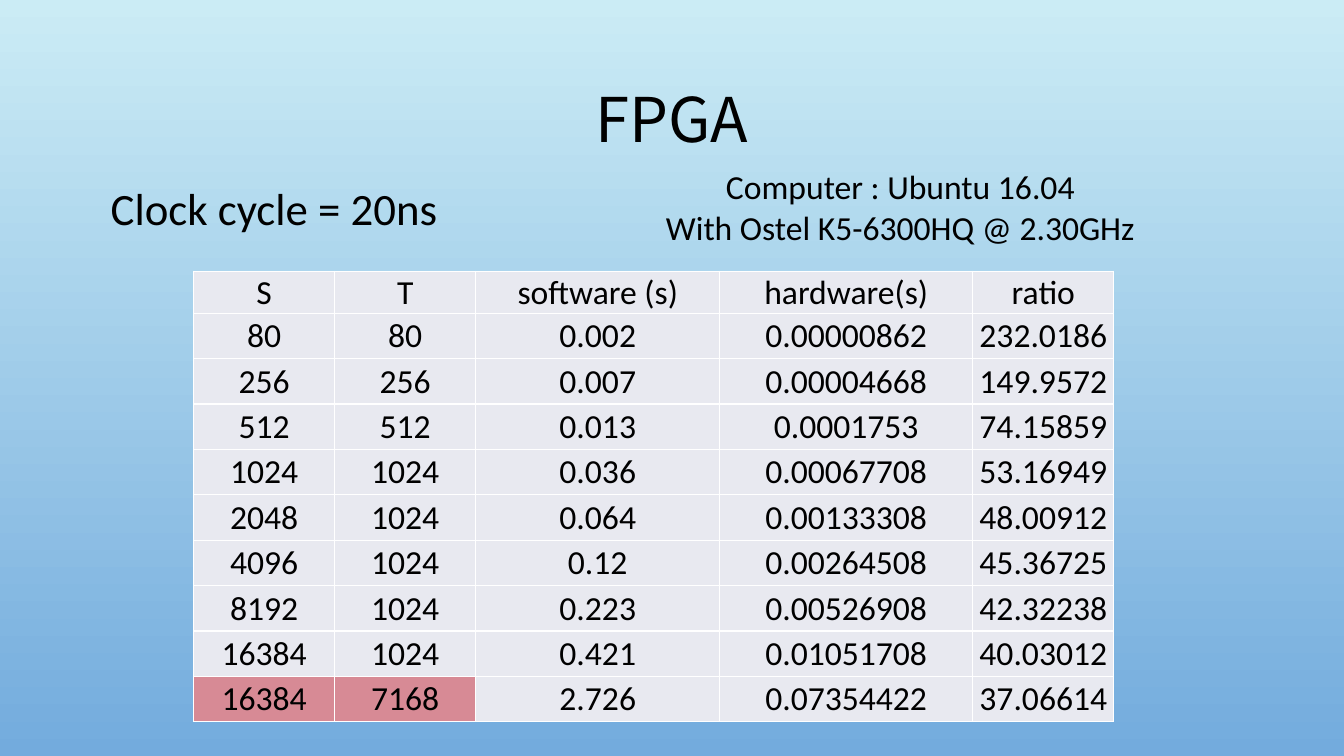
from dataclasses import dataclass
from lxml.etree import SubElement
from pptx import Presentation
from pptx.dml.color import RGBColor
from pptx.enum.text import MSO_ANCHOR, PP_ALIGN
from pptx.oxml.ns import qn
from pptx.util import Inches, Pt

WIDE, HIGH = Inches(13.33), Inches(7.5)
FONT = "Calibri"
BLACK, WHITE = "000000", "FFFFFF"
PALE, ROSE = "E8E9F0", "D78A95"
SKY = ("CBECF5", "73ABDD")


@dataclass
class Label:
    lines: list[str]
    box: tuple[float, float, float, float]  # percent of the slide
    size: int
    font: str = FONT
    align: PP_ALIGN = PP_ALIGN.CENTER
    anchor: MSO_ANCHOR = MSO_ANCHOR.TOP
    wrap: bool = False
    gap: float = 1.0


LABELS = [
    Label(["FPGA"], (7.5, 9.07, 85, 14.27), 44, "Noto Sans CJK SC",
          anchor=MSO_ANCHOR.MIDDLE, wrap=True, gap=0.9),
    Label(["Clock cycle = 20ns"], (7.5, 23.2, 26.78, 8.53), 32,
          align=PP_ALIGN.LEFT),
    Label(["Computer : Ubuntu 16.04", "With Ostel K5-6300HQ @ 2.30GHz"],
          (48.46, 21.33, 37.06, 12.13), 24),
]

# Timings: sizes S and T, seconds in software and hardware, ratio
ROWS = [
    ("S", "T", "software (s)", "hardware(s)", "ratio"),
    ("80", "80", "0.002", "0.00000862", "232.0186"),
    ("256", "256", "0.007", "0.00004668", "149.9572"),
    ("512", "512", "0.013", "0.0001753", "74.15859"),
    ("1024", "1024", "0.036", "0.00067708", "53.16949"),
    ("2048", "1024", "0.064", "0.00133308", "48.00912"),
    ("4096", "1024", "0.12", "0.00264508", "45.36725"),
    ("8192", "1024", "0.223", "0.00526908", "42.32238"),
    ("16384", "1024", "0.421", "0.01051708", "40.03012"),
    ("16384", "7168", "2.726", "0.07354422", "37.06614"),
]
COLS = (10.5, 10.5, 18.15, 18.83, 10.5)  # percent of slide width
HEAD, BODY = 3.33, 6.01  # percent of slide height
LEFT, TOP = 14.4, 35.87


def across(share: float) -> int:
    return round(WIDE * share / 100)


def down(share: float) -> int:
    return round(HIGH * share / 100)


def color(code: str) -> RGBColor:
    return RGBColor.from_string(code)


def style(para, size: int, font: str, align: PP_ALIGN) -> None:
    para.alignment = align
    para.font.size = Pt(size)
    para.font.name = font
    para.font.color.rgb = color(BLACK)


def add_label(slide, label: Label) -> None:
    x, y, w, h = label.box
    frame = slide.shapes.add_textbox(
        across(x), down(y), across(w), down(h)).text_frame
    frame.word_wrap = label.wrap
    frame.vertical_anchor = label.anchor
    frame.text = "\n".join(label.lines)
    for para in frame.paragraphs:
        style(para, label.size, label.font, label.align)
        para.line_spacing = label.gap


def add_edges(cell) -> None:
    props = cell._tc.get_or_add_tcPr()
    for side in ("lnL", "lnR", "lnT", "lnB"):
        line = SubElement(props, qn(f"a:{side}"), w=str(Pt(1)))
        fill = SubElement(line, qn("a:solidFill"))
        SubElement(fill, qn("a:srgbClr"), val=WHITE)


def fill_cell(cell, text: str, tint: str) -> None:
    cell.text = text
    cell.vertical_anchor = MSO_ANCHOR.MIDDLE
    cell.margin_left = cell.margin_right = cell.margin_top = Inches(0.01)
    cell.margin_bottom = 0
    style(cell.text_frame.paragraphs[0], 24, FONT, PP_ALIGN.CENTER)
    add_edges(cell)
    cell.fill.solid()
    cell.fill.fore_color.rgb = color(tint)


def add_times(slide) -> None:
    tall = HEAD + BODY * (len(ROWS) - 1)
    table = slide.shapes.add_table(
        len(ROWS), len(COLS), across(LEFT), down(TOP),
        across(sum(COLS)), down(tall)).table
    table.first_row = table.horz_banding = False
    for col, share in zip(table.columns, COLS):
        col.width = across(share)
    for r, texts in enumerate(ROWS):
        table.rows[r].height = down(BODY if r else HEAD)
        for c, text in enumerate(texts):
            # The largest S and T stand out
            big = r == len(ROWS) - 1 and c < 2
            fill_cell(table.cell(r, c), text, ROSE if big else PALE)


def main() -> None:
    deck = Presentation()
    deck.slide_width, deck.slide_height = WIDE, HIGH
    slide = deck.slides.add_slide(deck.slide_layouts[6])

    # Sky background, light at the top
    back = slide.background.fill
    back.gradient()
    back.gradient_angle = 270
    for stop, tint in zip(back.gradient_stops, SKY):
        stop.color.rgb = color(tint)

    # Table, then title and notes on the setup
    add_times(slide)
    for label in LABELS:
        add_label(slide, label)
    deck.save("out.pptx")


if __name__ == "__main__":
    main()
